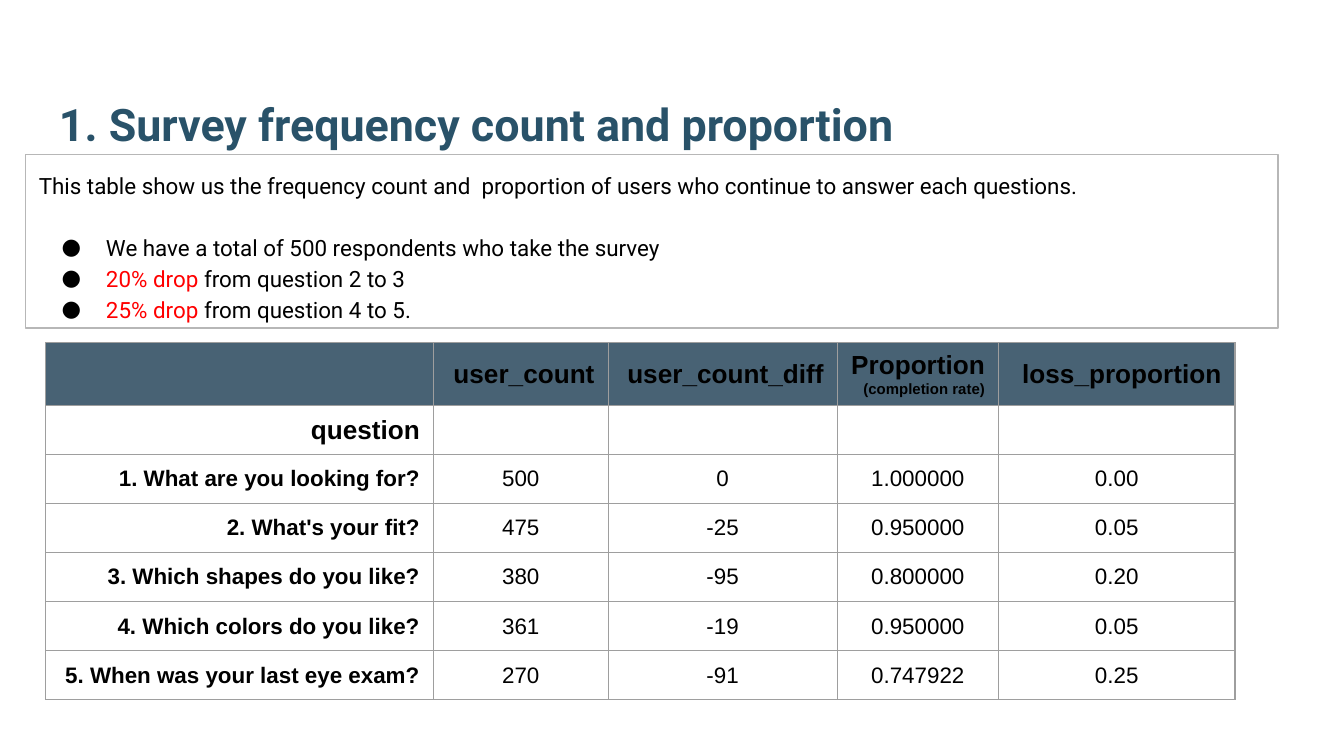
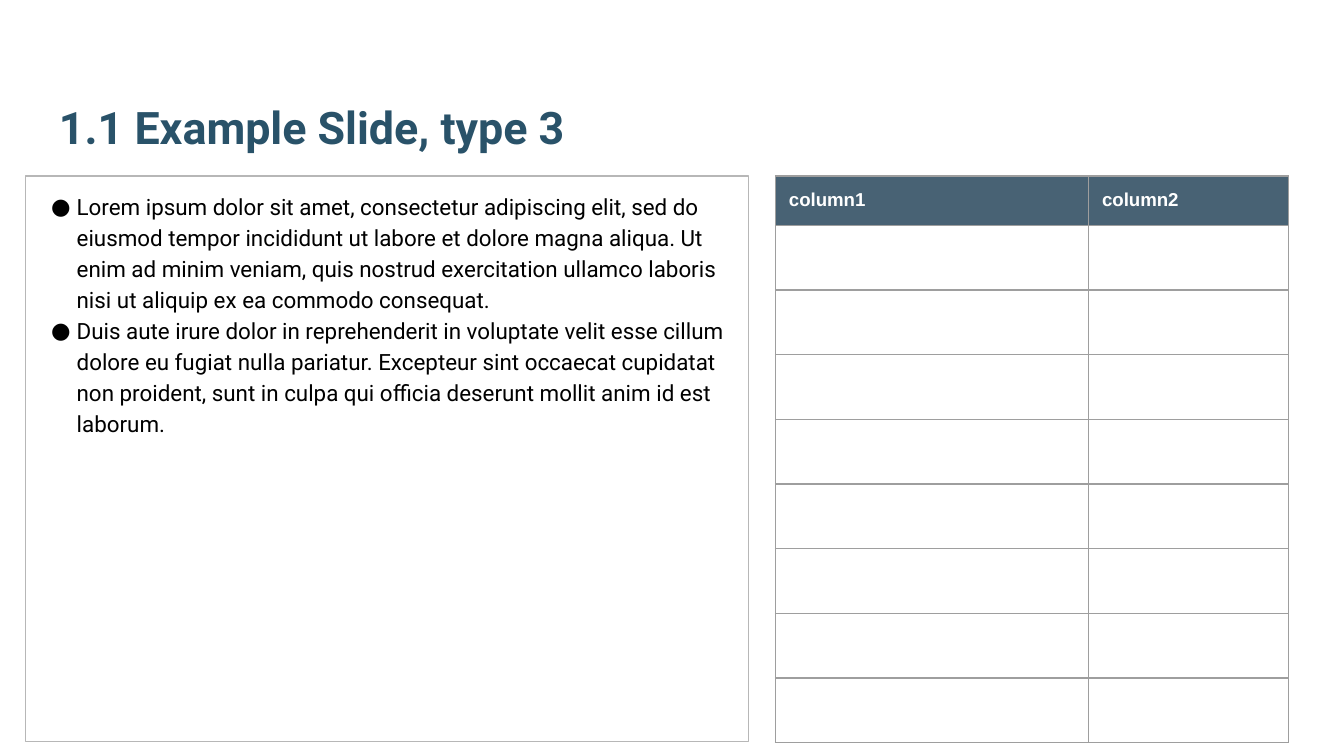
from lxml import etree
from pptx import Presentation
from pptx.dml.color import RGBColor
from pptx.enum.shapes import MSO_SHAPE
from pptx.enum.text import MSO_ANCHOR, PP_ALIGN
from pptx.oxml.ns import qn
from pptx.util import Inches, Pt

RECT = MSO_SHAPE.RECTANGLE
TOP, MIDDLE, BOTTOM = MSO_ANCHOR.TOP, MSO_ANCHOR.MIDDLE, MSO_ANCHOR.BOTTOM
LEFT, CENTER, RIGHT = PP_ALIGN.LEFT, PP_ALIGN.CENTER, PP_ALIGN.RIGHT

WIDTH = Inches(10)
HEIGHT = WIDTH * 9 // 16
COLS = 1000
BLACK, WHITE, RED = "000000", "FFFFFF", "FF0000"
TITLE, BAND, FRAME, RULE = "295269", "204056", "B7B7B7", "9E9E9E"
OPAQUE = 82

HEAD = {"name": "Roboto", "size": Pt(24), "bold": True, "hue": TITLE}
BODY = {"name": "Roboto", "size": Pt(12), "bold": False, "hue": BLACK}
CELL = {"name": "Arial", "size": Pt(12), "bold": False, "hue": BLACK}
BIG = CELL | {"size": Pt(14), "bold": True}
SIDE = CELL | {"bold": True}
SMALL = CELL | {"size": Pt(10), "bold": True, "hue": WHITE}

INTRO = ("This table show us the frequency count and  proportion of users "
         "who continue to answer each questions.")
FACTS = [
    [("We have a total of 500 respondents who take the survey", {})],
    [("20% drop ", {"hue": RED}), ("from question 2 to 3", {})],
    [("25% drop ", {"hue": RED}), ("from question 4 to 5.", {})],
]
LOREM = [
    "Lorem ipsum dolor sit amet, consectetur adipiscing elit, sed do eiusmod "
    "tempor incididunt ut labore et dolore magna aliqua. Ut enim ad minim "
    "veniam, quis nostrud exercitation ullamco laboris nisi ut aliquip ex ea "
    "commodo consequat.",
    "Duis aute irure dolor in reprehenderit in voluptate velit esse cillum "
    "dolore eu fugiat nulla pariatur. Excepteur sint occaecat cupidatat non "
    "proident, sunt in culpa qui officia deserunt mollit anim id est laborum.",
]
SURVEY = [
    ["", "user_count", "user_count_diff", "Proportion", "loss_proportion"],
    ["question", "", "", "", ""],
    ["1. What are you looking for?", "500", "0", "1.000000", "0.00"],
    ["2. What's your fit?", "475", "-25", "0.950000", "0.05"],
    ["3. Which shapes do you like?", "380", "-95", "0.800000", "0.20"],
    ["4. Which colors do you like?", "361", "-19", "0.950000", "0.05"],
    ["5. When was your last eye exam?", "270", "-91", "0.747922", "0.25"],
]
SAMPLE = [["column1", "column2"]] + [["", ""]] * 8


def color(code):
    """Turn a hex string into a colour."""
    return RGBColor.from_string(code)


def span(count):
    """Give the length of some units of the square grid."""
    return round(WIDTH * count / COLS)


def place(*area):
    """Turn grid units into a position and a size."""
    return [span(count) for count in area]


def put(target, values):
    """Set the attributes of a target from a dict."""
    for key, value in values.items():
        if key == "hue":
            target.color.rgb = color(value)
        else:
            setattr(target, key, value)


def inset(side, edge):
    """Give margins for the sides and for top and bottom."""
    return {"margin_left": span(side), "margin_right": span(10),
            "margin_top": span(edge), "margin_bottom": span(edge)}


def points(style):
    """Give the size of a style in hundredths of a point."""
    return str(int(style["size"].pt * 100))


def write(para, text, style):
    """Add one run in a style."""
    run = para.add_run()
    run.text = text
    put(run.font, style)


def bullet(para, margin, hang):
    """Give a paragraph a hanging black bullet."""
    props = para._p.get_or_add_pPr()
    props.set("marL", str(span(margin)))
    props.set("indent", str(-span(hang)))
    tint = etree.SubElement(props, qn("a:buClr"))
    etree.SubElement(tint, qn("a:srgbClr"), val=BLACK)
    etree.SubElement(props, qn("a:buSzPts"), val=points(BODY))
    etree.SubElement(props, qn("a:buFont"), typeface=BODY["name"])
    etree.SubElement(props, qn("a:buChar"), char="●")


def title(slide, text, top):
    """Add the slide title."""
    frame = slide.shapes.add_textbox(*place(34, top, 932, 92)).text_frame
    put(frame, inset(10, 10) | {"word_wrap": True, "vertical_anchor": BOTTOM})
    write(frame.paragraphs[0], text, HEAD)


def panel(slide, area, side):
    """Add a framed box and return its text frame."""
    shape = slide.shapes.add_shape(RECT, *place(*area))
    shape.shadow.inherit = False
    shape.fill.background()
    put(shape.line, {"hue": FRAME, "width": Pt(0.75)})
    frame = shape.text_frame
    put(frame, inset(side, 10) | {"word_wrap": True, "vertical_anchor": TOP})
    return frame


def add(frame, runs, indent=None, gap=0):
    """Add a body paragraph, with a bullet if an indent is given."""
    last = frame.paragraphs[-1]
    para = frame.add_paragraph() if last.runs else last
    if indent:
        bullet(para, *indent)
    put(para, {"alignment": LEFT, "line_spacing": 1.15})
    if gap:
        para.space_before = Pt(gap)
    for text, extra in runs:
        write(para, text, BODY | extra)


def border(cell):
    """Rule all four sides of a cell."""
    props = cell._tc.get_or_add_tcPr()
    for tag in ("a:lnL", "a:lnR", "a:lnT", "a:lnB"):
        line = etree.SubElement(props, qn(tag), w=str(Pt(0.75)))
        fill = etree.SubElement(line, qn("a:solidFill"))
        etree.SubElement(fill, qn("a:srgbClr"), val=RULE)


def shade(cell):
    """Fill a header cell with the translucent band colour."""
    cell.fill.solid()
    cell.fill.fore_color.rgb = color(BAND)
    tint = cell._tc.tcPr.find(qn("a:solidFill")).find(qn("a:srgbClr"))
    etree.SubElement(tint, qn("a:alpha"), val=str(OPAQUE * 1000))


def grid(slide, area, widths, head, data, look, form):
    """Add a ruled table; look gives style and alignment by row and column."""
    count = len(data)
    table = slide.shapes.add_table(count, len(widths), *place(*area)).table
    put(table, {"first_row": False, "horz_banding": False})
    for col, width in zip(table.columns, widths):
        col.width = span(width)
    for i, row in enumerate(table.rows):
        row.height = span((area[3] - head) / (count - 1) if i else head)
        for j, text in enumerate(data[i]):
            cell = table.cell(i, j)
            put(cell, form)
            border(cell)
            if i:
                cell.fill.background()
            else:
                shade(cell)
            para = cell.text_frame.paragraphs[0]
            style, para.alignment = look(i, j)
            if text:
                write(para, text, style)
            else:
                etree.SubElement(para._p, qn("a:endParaRPr"),
                                 sz=points(style))
    return table


def rank(i, j):
    """Pick the style of a survey cell."""
    if i < 2:
        return BIG, RIGHT
    return (CELL, CENTER) if j else (SIDE, RIGHT)


def plain(i, j):
    """Pick the style of a sample cell."""
    return SMALL, LEFT


def survey(slide):
    """Build the survey slide."""
    title(slide, "1. Survey frequency count and proportion", 30)
    frame = panel(slide, (19, 115, 932, 129), 10)
    add(frame, [(INTRO, {})])
    for n, runs in enumerate(FACTS):
        add(frame, runs, (50, 33), 0 if n else 16.6)
    table = grid(slide, (34, 255, 885, 259), (288.5, 130, 170.5, 120, 176),
                 40, SURVEY, rank, inset(10, 5) | {"vertical_anchor": MIDDLE})
    para = table.cell(0, 3).text_frame.paragraphs[0]
    gap = etree.SubElement(para._p, qn("a:br"))
    etree.SubElement(gap, qn("a:rPr"), sz=points(BIG))
    write(para, "(completion rate)", BIG | {"size": Pt(8)})


def sample(slide):
    """Build the example slide."""
    title(slide, "1.1 Example Slide, type 3", 32)
    frame = panel(slide, (19, 131, 538, 421), 19)
    for text in LOREM:
        add(frame, [(text, {})], (19, 21))
    grid(slide, (577, 131, 382, 421), (233, 149), 36,
         SAMPLE, plain, inset(10, 10) | {"vertical_anchor": TOP})


def main():
    """Build and save the deck."""
    deck = Presentation()
    put(deck, {"slide_width": WIDTH, "slide_height": HEIGHT})
    for build in (survey, sample):
        build(deck.slides.add_slide(deck.slide_layouts[6]))
    deck.save("out.pptx")


if __name__ == "__main__":
    main()
